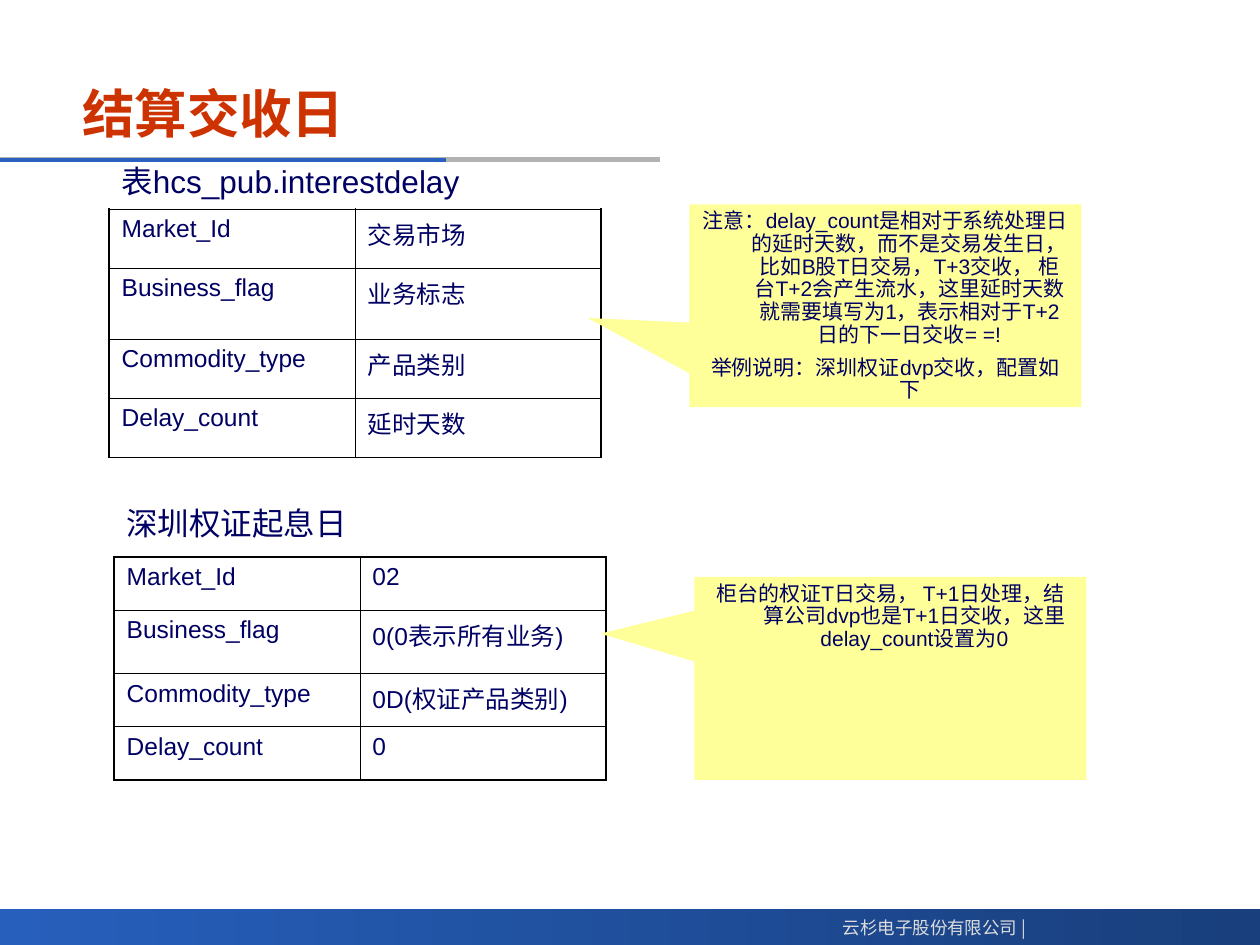
import dataclasses

import lxml.etree
import pptx
import pptx.dml.color
import pptx.enum.shapes
import pptx.enum.text
import pptx.oxml.ns
import pptx.util

Cm = pptx.util.Cm
Pt = pptx.util.Pt
ALIGN = pptx.enum.text.PP_ALIGN
qn = pptx.oxml.ns.qn


@dataclasses.dataclass(frozen=True)
class Theme:
    """Colours, fonts and type sizes of the slide."""
    title: str = "CC3300"
    text: str = "000064"
    note: str = "FFFF99"
    border: str = "000000"
    rule: str = "2A60C0"
    rule_back: str = "B2B2B2"
    footer_dark: str = "193F7C"
    footer_light: str = "265FBC"
    footer_text: str = "DDDDDD"
    font: str = "Arial"
    footer_font: str = "Noto Sans CJK SC"
    title_size: int = 30
    caption_size: int = 18
    cell_size: int = 14
    note_size: int = 12
    footer_size: int = 10
    outer_line: float = 1.08
    inner_line: float = 0.45


@dataclasses.dataclass(frozen=True)
class Box:
    """A rectangle measured in centimetres."""
    left: float
    top: float
    width: float
    height: float

    def place(self):
        """Return the four lengths in the order python-pptx expects."""
        return Cm(self.left), Cm(self.top), Cm(self.width), Cm(self.height)


THEME = Theme()


def rgb(value):
    """Turn a hex string into a colour."""
    return pptx.dml.color.RGBColor.from_string(value)


def write(frame, *lines, size, color=THEME.text, font=THEME.font, bold=False,
          align=ALIGN.LEFT, before=0, after=0, spacing=None, hanging=0, wrap=True,
          anchor=pptx.enum.text.MSO_ANCHOR.TOP):
    """Fill a text frame with one formatted paragraph per line."""
    frame.word_wrap = wrap
    frame.vertical_anchor = anchor
    for number, line in enumerate(lines):
        para = frame.add_paragraph() if number else frame.paragraphs[0]
        para.alignment = align
        para.space_before, para.space_after = Pt(before), Pt(after)
        if spacing:
            para.line_spacing = spacing
        if hanging:
            properties = para._p.get_or_add_pPr()
            properties.set("marL", str(Cm(hanging)))
            properties.set("indent", str(-Cm(hanging)))
        span = para.add_run()
        span.text = line
        span.font.name, span.font.size, span.font.bold = font, Pt(size), bold
        span.font.color.rgb = rgb(color)


def add_rule(page, box, color, weight):
    """Draw a horizontal line along the top of the box."""
    rule = page.shapes.add_connector(
        pptx.enum.shapes.MSO_CONNECTOR.STRAIGHT, Cm(box.left), Cm(box.top),
        Cm(box.left + box.width), Cm(box.top))
    rule.line.color.rgb = rgb(color)
    rule.line.width = Pt(weight)
    lxml.etree.SubElement(rule._element.spPr, qn("a:effectLst"))


def add_heading(page, box, text):
    """Set the title and the two-tone rule beneath it."""
    title = page.shapes.title
    title.left, title.top, title.width, title.height = box.place()
    write(title.text_frame, text, size=THEME.title_size, color=THEME.title,
          bold=True, anchor=pptx.enum.text.MSO_ANCHOR.MIDDLE)
    rule_top = box.top + box.height + 0.1
    add_rule(page, Box(0, rule_top, 13.31, 0), THEME.rule_back, 3)
    add_rule(page, Box(0, rule_top, 8.99, 0), THEME.rule, 2.25)


def add_footer(page, box, text):
    """Draw the gradient band and the company line on it."""
    band = page.shapes.add_shape(pptx.enum.shapes.MSO_SHAPE.RECTANGLE, *box.place())
    band.shadow.inherit = False
    band.line.fill.background()
    band.fill.gradient()
    band.fill.gradient_angle = 180
    for stop, color in zip(band.fill.gradient_stops,
                           (THEME.footer_dark, THEME.footer_light)):
        stop.color.rgb = rgb(color)
    label = page.shapes.add_textbox(
        *Box(box.left + 16.59, box.top + 0.03, 4.34, 0.68).place())
    write(label.text_frame, text, size=THEME.footer_size, color=THEME.footer_text,
          font=THEME.footer_font, align=ALIGN.RIGHT, wrap=False)


def add_caption(page, box, text):
    """Write the caption that stands above a table."""
    caption = page.shapes.add_textbox(*box.place())
    write(caption.text_frame, text, size=THEME.caption_size, before=11.2, after=4.5,
          spacing=0.9, hanging=0.97)
    caption.text_frame.auto_size = pptx.enum.text.MSO_AUTO_SIZE.SHAPE_TO_FIT_TEXT


def set_borders(cell, outer):
    """Line the four sides of a cell, heavier on the sides named in outer."""
    properties = cell._tc.get_or_add_tcPr()
    for side in "LRTB":
        weight = THEME.outer_line if side in outer else THEME.inner_line
        line = lxml.etree.SubElement(properties, qn(f"a:ln{side}"), w=str(Pt(weight)))
        fill = lxml.etree.SubElement(line, qn("a:solidFill"))
        lxml.etree.SubElement(fill, qn("a:srgbClr"), val=THEME.border)


def add_field_table(page, box, rows, heights):
    """Build a two-column table of field names and values."""
    columns = len(rows[0])
    table = page.shapes.add_table(len(rows), columns, *box.place()).table
    table.first_row = table.horz_banding = False
    for column in table.columns:
        column.width = Cm(box.width / columns)
    for row_number, (row, height) in enumerate(zip(rows, heights)):
        table.rows[row_number].height = Cm(height)
        for column_number, text in enumerate(row):
            cell = table.cell(row_number, column_number)
            edges = {"L": column_number == 0, "R": column_number == columns - 1,
                     "T": row_number == 0, "B": row_number == len(rows) - 1}
            set_borders(cell, [side for side, is_edge in edges.items() if is_edge])
            cell.fill.background()
            write(cell.text_frame, text, size=THEME.cell_size, before=3.5, after=3.5)


def add_note(page, box, lines, tip):
    """Draw a callout whose tip is given as offsets from its centre."""
    note = page.shapes.add_shape(
        pptx.enum.shapes.MSO_SHAPE.RECTANGULAR_CALLOUT, *box.place())
    note.shadow.inherit = False
    note.adjustments[0], note.adjustments[1] = tip
    note.fill.solid()
    note.fill.fore_color.rgb = rgb(THEME.note)
    note.line.fill.background()
    write(note.text_frame, *lines, size=THEME.note_size, align=ALIGN.CENTER,
          before=3, after=3, spacing=0.9, hanging=0.97)


def add_section(page, box, caption, values, heights, note_top, lines, tip):
    """Place a captioned field table with its callout to the right."""
    fields = ("Market_Id", "Business_flag", "Commodity_type", "Delay_count")
    add_caption(page, Box(box.left, box.top, 9.91, 0.94), caption)
    table_height = sum(heights)
    add_field_table(
        page, Box(box.left, box.top + box.height - table_height, 9.91, table_height),
        list(zip(fields, values)), heights)
    note_width = 7.9
    add_note(page, Box(box.left + box.width - note_width, box.top + note_top,
                       note_width, 4.09), lines, tip)


def main():
    """Build the slide and save it."""
    deck = pptx.Presentation()
    deck.slide_width, deck.slide_height = Cm(25.4), Cm(19.05)
    page = deck.slides.add_slide(deck.slide_layouts.get_by_name("Title Only"))
    add_footer(page, Box(0, 18.33, 25.4, 0.72), "云杉电子股份有限公司 |")
    add_heading(page, Box(1.4, 1.42, 17.58, 1.7), "结算交收日")
    add_section(
        page, Box(2.2, 3.23, 19.6, 5.99), "表hcs_pub.interestdelay",
        ("交易市场", "业务标志", "产品类别", "延时天数"), (1.19, 1.43, 1.19, 1.19), 0.89,
        ("注意：delay_count是相对于系统处理日的延时天数，而不是交易发生日，比如B股T日交易，"
         "T+3交收， 柜台T+2会产生流水，这里延时天数就需要填写为1，表示相对于T+2日的下一日交收= =!",
         "举例说明：深圳权证dvp交收，配置如下"), (-0.76, 0.06))
    add_section(
        page, Box(2.3, 10.13, 19.6, 5.59), "深圳权证起息日",
        ("02", "0(0表示所有业务)", "0D(权证产品类别)", "0"), (1.07, 1.28, 1.07, 1.07), 1.5,
        ("柜台的权证T日交易， T+1日处理，结算公司dvp也是T+1日交收，这里delay_count设置为0",),
        (-0.74, -0.22))
    deck.save("out.pptx")


if __name__ == "__main__":
    main()
